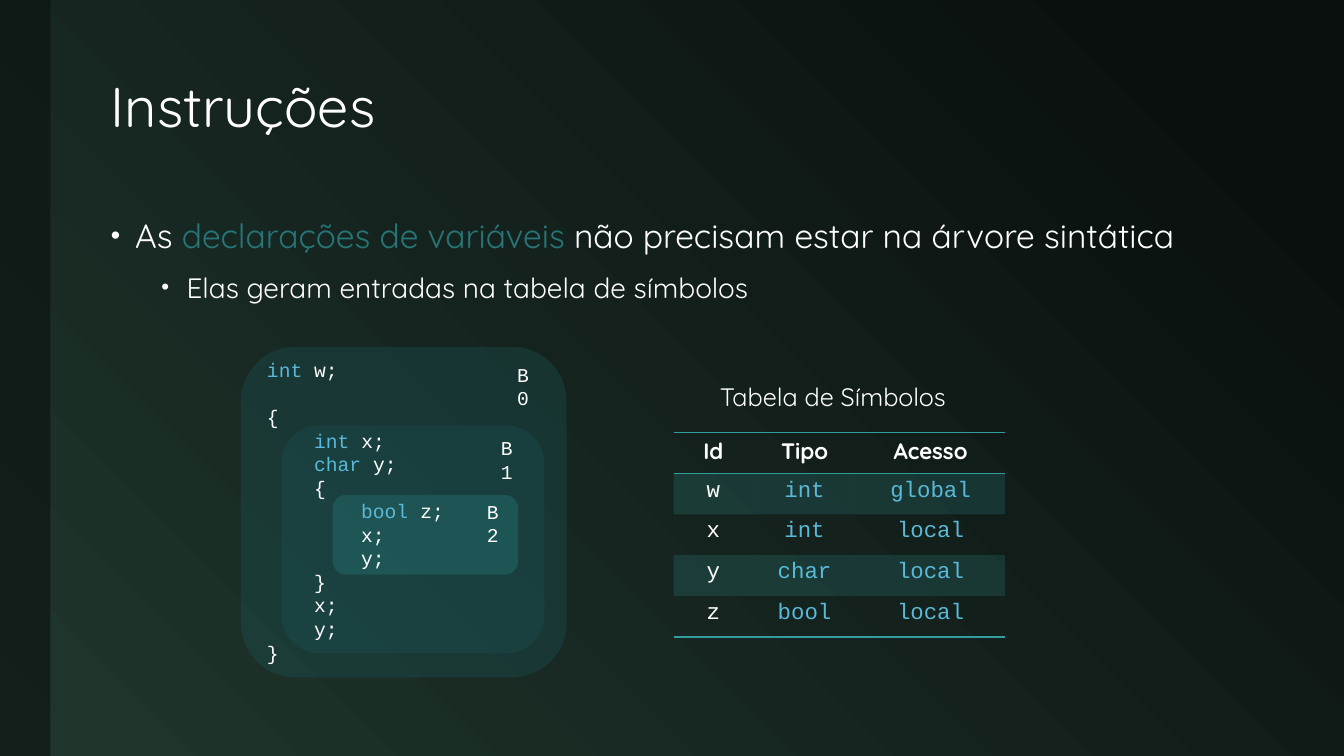
from lxml import etree
from pptx import Presentation
from pptx import util as u
from pptx.dml import color
from pptx.enum import shapes, text
from pptx.oxml import ns

COLORS = {
    "night": "0A100E", "forest": "20362D", "white": "FFFFFF", "keyword": "59B9D8",
    "teal": "267577", "deep": "1A4E4F", "line": "339C9F",
}
SANS, MONO = "Quicksand", "Courier New"
NO_TABLE_STYLE = "{2D5ABB26-0587-4C30-8999-92F81FD0307C}"
CODE_LINES = [
    (0, "int", " w;"), (0, "", "{"), (1, "int", " x;"), (1, "char", " y;"), (1, "", "{"),
    (2, "bool", " z;"), (2, "", "x;"), (2, "", "y;"), (1, "", "}"), (1, "", "x;"),
    (1, "", "y;"), (0, "", "}"),
]
SCOPES = [
    ("B0", "deep", (0, 0, 3.23, 3.28), (2.64, 0.11)),
    ("B1", "deep", (0.4, 0.78, 2.61, 2.26), (2.48, 0.84)),
    ("B2", "teal", (0.91, 1.47, 1.84, 0.79), (2.34, 1.47)),
]
SYMBOLS = [
    ("Id", "Tipo", "Acesso"), ("w", "int", "global"), ("x", "int", "local"),
    ("y", "char", "local"), ("z", "bool", "local"),
]


def rgb(name):
    return color.RGBColor.from_string(COLORS[name])


def inches(*lengths):
    return [u.Inches(length) for length in lengths]


def apply_formats(target, formats):
    for name, value in formats.items():
        setattr(target, name, value)


def add_child(parent, tag, **attributes):
    return etree.SubElement(parent, ns.qn(tag), attributes)


def fill_solid(fill, name, opacity):
    fill.solid()
    fill.fore_color.rgb = rgb(name)
    for srgb in fill.fore_color._xFill.iter(ns.qn("a:srgbClr")):
        add_child(srgb, "a:alpha", val=str(opacity * 1000))


def add_run(paragraph, content, size, name="white", font=SANS, bold=False):
    run = paragraph.add_run()
    run.text = content
    apply_formats(run.font, {"size": u.Pt(size), "name": font, "bold": bold})
    run.font.color.rgb = rgb(name)


def add_panel(container, kind, box, name, opacity):
    panel = container.add_shape(kind, *inches(*box))
    panel.shadow.inherit = False
    panel.line.fill.background()
    fill_solid(panel.fill, name, opacity)


def add_text_frame(container, box, wrap):
    frame = container.add_textbox(*inches(*box)).text_frame
    apply_formats(frame, {"word_wrap": wrap, "auto_size": text.MSO_AUTO_SIZE.SHAPE_TO_FIT_TEXT})
    return frame


def place(shape, box):
    apply_formats(shape, dict(zip(("left", "top", "width", "height"), inches(*box))))


def paint_background(slide):
    fill = slide.background.fill
    fill.gradient()
    fill.gradient_angle = 225
    for stop, (position, name) in zip(fill.gradient_stops, [(0.1, "night"), (1, "forest")]):
        stop.position = position
        stop.color.rgb = rgb(name)


def write_title(slide, box):
    title = slide.shapes.title
    place(title, box)
    apply_formats(title.text_frame, {
        "vertical_anchor": text.MSO_ANCHOR.MIDDLE, "auto_size": text.MSO_AUTO_SIZE.NONE})
    paragraph = title.text_frame.paragraphs[0]
    apply_formats(paragraph, {"alignment": text.PP_ALIGN.LEFT, "line_spacing": 0.9})
    add_run(paragraph, "Instruções", 40)


def write_body(slide, box):
    body = slide.placeholders[1]
    place(body, box)
    frame = body.text_frame
    frame.auto_size = text.MSO_AUTO_SIZE.NONE
    items = [
        (0, 0.24, 0.24, 0, 24, [("As ", "white"), ("declarações de variáveis ", "teal"),
                                ("não precisam estar na árvore sintática", "white")]),
        (1, 0.75, 0.25, 6, 20, [("Elas geram entradas na tabela de símbolos", "white")]),
    ]
    for index, (level, margin, hanging, before, size, runs) in enumerate(items):
        paragraph = frame.add_paragraph() if index else frame.paragraphs[0]
        properties = paragraph._p.get_or_add_pPr()
        properties.set("marL", str(u.Inches(margin)))
        properties.set("indent", str(-u.Inches(hanging)))
        add_child(properties, "a:buSzPct", val="80000")
        add_child(properties, "a:buFont", typeface="Arial")
        add_child(properties, "a:buChar", char="•")
        apply_formats(paragraph, {
            "level": level, "line_spacing": 1.2, "space_before": u.Pt(before)})
        for content, name in runs:
            add_run(paragraph, content, size, name)


def draw_code(slide, box):
    left, top, width, height = box
    group = slide.shapes.add_group_shape().shapes
    for _, name, (x, y, w, h), _ in SCOPES:
        add_panel(group, shapes.MSO_SHAPE.ROUNDED_RECTANGLE, (left + x, top + y, w, h), name, 40)
    frame = add_text_frame(group, (left + 0.16, top + 0.06, width - 0.33, height - 0.12), True)
    for index, (depth, keyword, rest) in enumerate(CODE_LINES):
        paragraph = frame.add_paragraph() if index else frame.paragraphs[0]
        if index == 1:
            paragraph.space_before = u.Pt(17)
        if keyword:
            add_run(paragraph, "    " * depth + keyword, 14, "keyword", MONO)
            add_run(paragraph, rest, 14, font=MONO)
        else:
            add_run(paragraph, "    " * depth + rest, 14, font=MONO)
    for label, _, _, (x, y) in SCOPES:
        frame = add_text_frame(group, (left + x, top + y, 0.42, 0.34), True)
        add_run(frame.paragraphs[0], label, 14, font=MONO)


def add_border(cell, side):
    line = add_child(cell._tc.get_or_add_tcPr(), side, w=str(u.Pt(1)))
    add_child(add_child(line, "a:solidFill"), "a:srgbClr", val=COLORS["line"])


def draw_symbols(slide, box):
    left, top, width, height = box
    caption = add_text_frame(slide.shapes, (left + 0.36, top, 2.58, 0.4), False)
    add_run(caption.paragraphs[0], "Tabela de Símbolos", 18)
    frame = slide.shapes.add_table(
        len(SYMBOLS), 3, *inches(left, top + 0.56, width, height - 0.56))
    table = frame.table
    frame._element.find(".//" + ns.qn("a:tableStyleId")).text = NO_TABLE_STYLE
    apply_formats(table, {"first_row": False, "horz_banding": False})
    for column, column_width in zip(table.columns, (0.79, 1.02, 1.48)):
        column.width = u.Inches(column_width)
    for row, values in enumerate(SYMBOLS):
        for column, value in enumerate(values):
            cell = table.cell(row, column)
            if row == 0:
                add_border(cell, "a:lnT")
            if row in (0, len(SYMBOLS) - 1):
                add_border(cell, "a:lnB")
            if row % 2:
                fill_solid(cell.fill, "line", 20)
            else:
                cell.fill.background()
            paragraph = cell.text_frame.paragraphs[0]
            paragraph.alignment = text.PP_ALIGN.CENTER
            name = "keyword" if row and column else "white"
            add_run(paragraph, value, 16, name, MONO if row else SANS, row == 0)


def main():
    presentation = Presentation()
    presentation.slide_width, presentation.slide_height = inches(13.33, 7.5)
    slide = presentation.slides.add_slide(presentation.slide_layouts[1])
    paint_background(slide)
    add_panel(slide.shapes, shapes.MSO_SHAPE.RECTANGLE, (0, 0, 0.5, 7.5), "night", 60)
    write_title(slide, (1, 0.42, 11.65, 1.33))
    write_body(slide, (1, 2, 11.65, 4.83))
    draw_code(slide, (2.39, 3.44, 3.23, 3.28))
    draw_symbols(slide, (6.68, 3.73, 3.29, 2.59))
    presentation.save("out.pptx")


if __name__ == "__main__":
    main()
